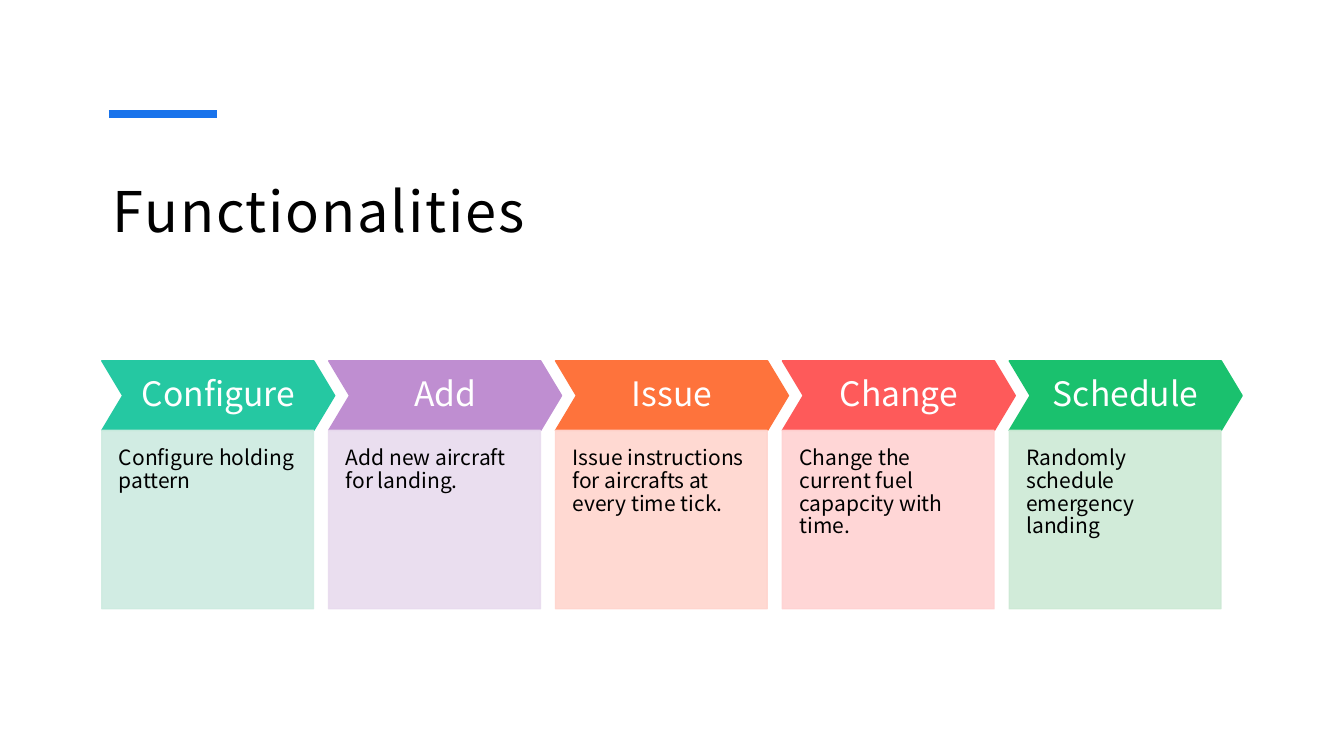
from dataclasses import dataclass

from lxml import etree
from pptx import Presentation
from pptx import util as u
from pptx.dml.color import RGBColor
from pptx.enum import shapes, text
from pptx.oxml import ns


@dataclass(frozen=True)
class Theme:
    font: str = "Noto Sans CJK JP"
    ink: str = "000000"
    paper: str = "FFFFFF"
    accent: str = "1973EB"
    title_size: int = 40
    step_size: int = 24
    detail_size: int = 15


class SlideBuilder:
    """Holds the theme and the current slide."""

    def __init__(self, slide, theme):
        self.slide = slide
        self.theme = theme

    def set_text(self, frame, words, size, color, insets, spacing,
                 align=text.PP_ALIGN.LEFT, anchor=text.MSO_ANCHOR.TOP):
        sides = ("margin_left", "margin_top", "margin_right", "margin_bottom")
        frame_format = dict(zip(sides, map(u.Inches, insets)))
        frame_format.update(word_wrap=True, vertical_anchor=anchor)
        paragraph = frame.paragraphs[0]
        run = paragraph.add_run()
        run.text = words
        formats = (
            (frame, frame_format),
            (paragraph, {"alignment": align, "line_spacing": spacing}),
            (run.font, {"name": self.theme.font, "size": u.Pt(size)}),
        )
        for target, values in formats:
            for key, value in values.items():
                setattr(target, key, value)
        run.font.color.rgb = RGBColor.from_string(color)
        return run

    def title(self, words, left, top, width, height):
        box = self.slide.shapes.add_textbox(*map(u.Inches, (left, top, width, height)))
        run = self.set_text(box.text_frame, words, self.theme.title_size,
                            self.theme.ink, (0.12, 0.12, 0.12, 0.1), 1.2)
        run.font._element.set("spc", "130")

    def rule(self, left, right, y, weight):
        line = self.slide.shapes.add_connector(
            shapes.MSO_CONNECTOR.STRAIGHT, *map(u.Inches, (left, y, right, y)))
        line.line.color.rgb = RGBColor.from_string(self.theme.accent)
        line.line.width = u.Pt(weight)
        etree.SubElement(line._element.spPr, ns.qn("a:effectLst"))

    def block(self, preset, left, top, width, height, color, opacity=100):
        shape = self.slide.shapes.add_shape(
            preset, *map(u.Inches, (left, top, width, height)))
        shape.shadow.inherit = False
        shape.fill.solid()
        shape.line.fill.solid()
        shape.line.width = u.Pt(1)
        for paint in (shape.fill, shape.line.fill):
            paint.fore_color.rgb = RGBColor.from_string(color)
        if opacity < 100:
            for tint in shape._element.spPr.iter(ns.qn("a:srgbClr")):
                etree.SubElement(tint, ns.qn("a:alpha"), val=str(opacity * 1000))
        return shape

    def step(self, name, left, top, width, height, color):
        chevron = self.block(shapes.MSO_SHAPE.CHEVRON, left, top, width, height, color)
        chevron.adjustments[0] = 0.3
        self.set_text(chevron.text_frame, name, self.theme.step_size, self.theme.paper,
                      (0.09,) * 4, 0.9, text.PP_ALIGN.CENTER, text.MSO_ANCHOR.MIDDLE)

    def detail(self, words, left, top, width, height, color):
        panel = self.block(shapes.MSO_SHAPE.RECTANGLE, left, top, width, height,
                           color, opacity=90)
        self.set_text(panel.text_frame, words, self.theme.detail_size, self.theme.ink,
                      (0.17, 0.17, 0.17, 0.33), 0.9)


# Step name, description, chevron colour, panel colour
FUNCTIONALITIES = (
    ("Configure", "Configure holding pattern", "25C8A2", "CDEBE0"),
    ("Add", "Add new aircraft for landing.", "BF8ED1", "E8DBEE"),
    ("Issue", "Issue instructions for aircrafts at every time tick.",
     "FE733C", "FFD5CE"),
    ("Change", "Change the current fuel capapcity with time.",
     "FE5A5A", "FFD2D2"),
    ("Schedule", "Randomly schedule emergency landing", "1AC16E", "CDE9D5"),
)
FIRST_LEFT, PITCH = 1.01, 2.25
STEP_TOP, STEP_WIDTH, STEP_HEIGHT = 3.58, 2.31, 0.69
DETAIL_WIDTH, DETAIL_HEIGHT = 2.1, 1.77


def main():
    deck = Presentation()
    deck.slide_width, deck.slide_height = u.Inches(13.33), u.Inches(7.5)
    builder = SlideBuilder(deck.slides.add_slide(deck.slide_layouts[6]), Theme())

    # Heading with its accent rule
    builder.title("Functionalities", 1, 1.5, 11.33, 1.44)
    builder.rule(1.08, 2.15, 1.13, 6)

    # Process steps, each with a description panel beneath
    for index, (name, description, strong, pale) in enumerate(FUNCTIONALITIES):
        left = FIRST_LEFT + index * PITCH
        builder.step(name, left, STEP_TOP, STEP_WIDTH, STEP_HEIGHT, strong)
        builder.detail(description, left, STEP_TOP + STEP_HEIGHT,
                       DETAIL_WIDTH, DETAIL_HEIGHT, pale)

    deck.save("out.pptx")


if __name__ == "__main__":
    main()
